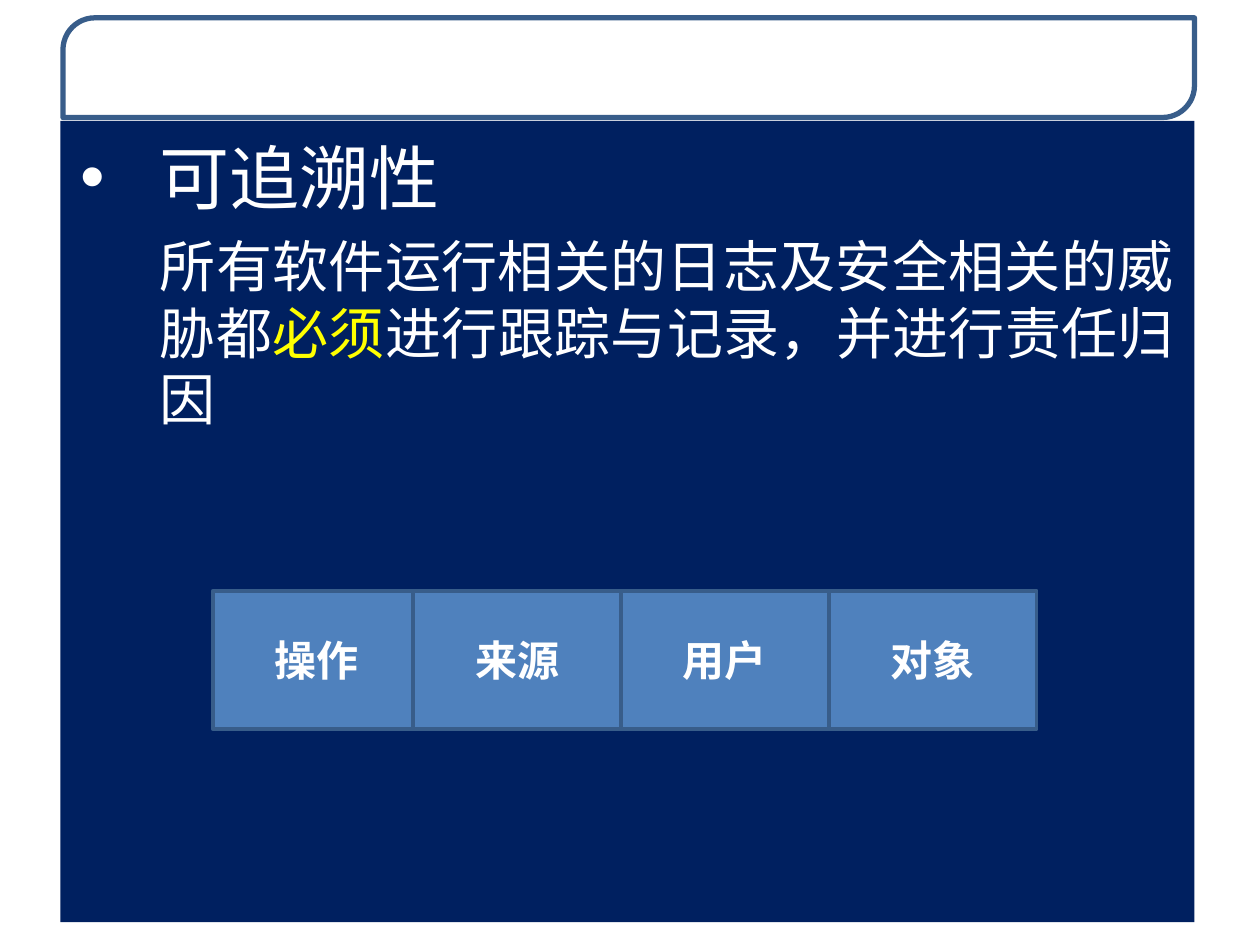
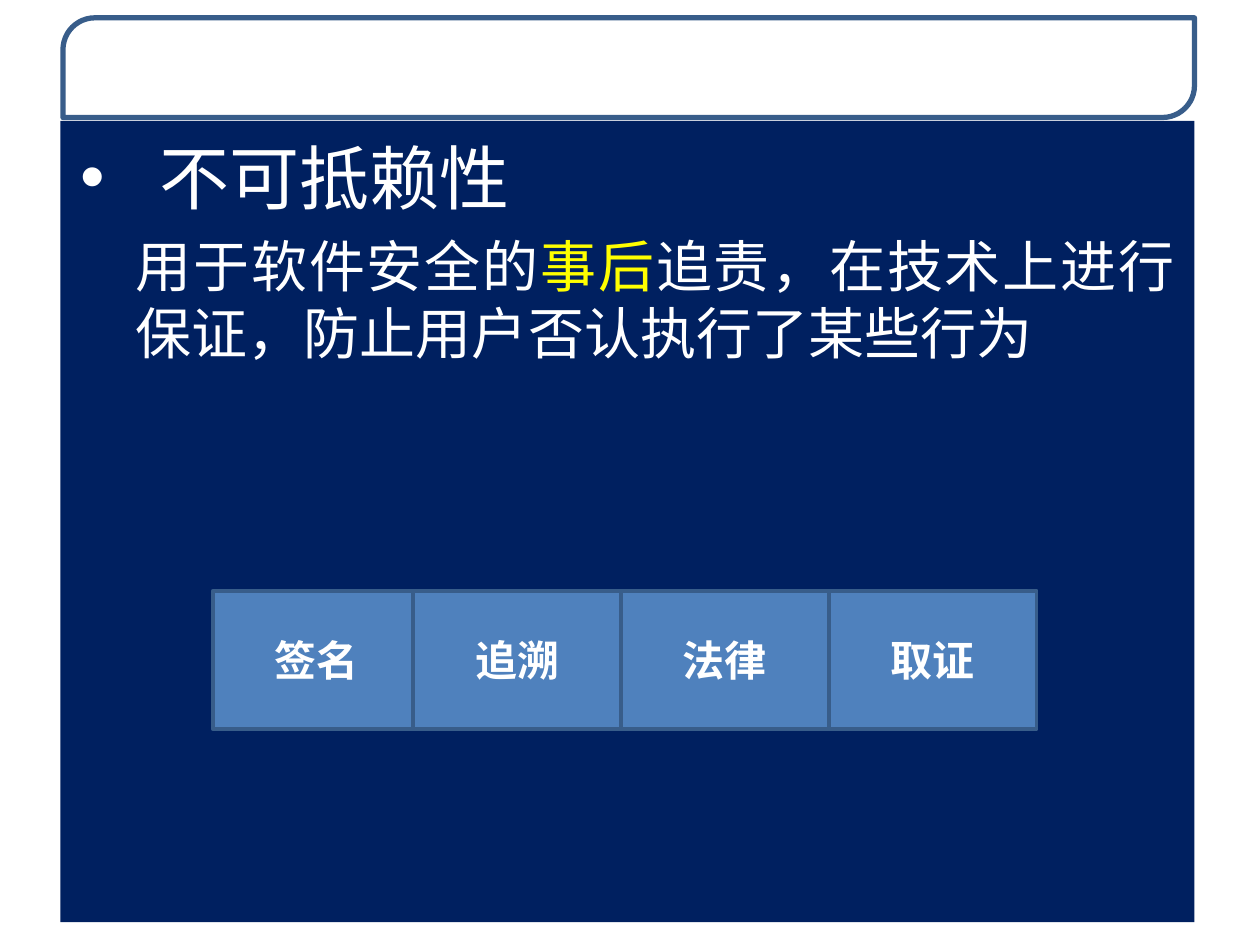
"""Build two slides on traceability and non-repudiation in software security."""
import lxml.etree
import pptx
import pptx.dml.color
import pptx.enum.shapes
import pptx.enum.text
import pptx.oxml.ns
import pptx.util

Cm = pptx.util.Cm
Pt = pptx.util.Pt
RGB = pptx.dml.color.RGBColor.from_string
qn = pptx.oxml.ns.qn
ALIGN = pptx.enum.text.PP_ALIGN
ANCHOR = pptx.enum.text.MSO_ANCHOR
SHAPE = pptx.enum.shapes.MSO_SHAPE

THEME = {
    "white": RGB("FFFFFF"),
    "navy": RGB("002060"),
    "blue": RGB("4F81BD"),
    "edge": RGB("385D8A"),
    "accent": RGB("FFFF00"),
    "cjk": "Noto Sans CJK SC",
    "latin": "Calibri",
    "heading": Pt(40),
    "text": Pt(32),
    "label": Pt(24),
}
HEADING_FORMAT = {"alignment": ALIGN.JUSTIFY, "line_spacing": Pt(52)}
TEXT_FORMAT = {"alignment": ALIGN.JUSTIFY, "line_spacing": Pt(38), "space_before": Pt(8)}
PANEL_FRAME = {
    "word_wrap": True, "vertical_anchor": ANCHOR.TOP,
    "margin_left": Cm(0.4), "margin_right": Cm(0.4),
    "margin_top": Cm(0.13), "margin_bottom": Cm(0.13),
}
HANGING = Cm(1.6)
ASPECT_WIDTH = 4.19
ASPECT_LEFTS = [4.29] + [8.33 + ASPECT_WIDTH * step for step in range(3)]

TOPICS = [
    {
        "heading": "可追溯性",
        "indent": HANGING,
        "text": [("所有软件运行相关的日志及安全相关的威胁都", "white"), ("必须", "accent"),
                 ("进行跟踪与记录，并进行责任归因", "white")],
        "aspects": ["操作", "来源", "用户", "对象"],
    },
    {
        "heading": "不可抵赖性",
        "indent": Cm(1.12),
        "text": [("用于软件安全的", "white"), ("事后", "accent"),
                 ("追责，在技术上进行保证，防止用户否认执行了某些行为", "white")],
        "aspects": ["签名", "追溯", "法律", "取证"],
    },
]


def add_box(slide, preset, place, fill, line_width=None):
    box = slide.shapes.add_shape(preset, *(Cm(length) for length in place))
    box.shadow.inherit = False
    box.fill.solid()
    box.fill.fore_color.rgb = THEME[fill]
    if line_width:
        box.line.color.rgb = THEME["edge"]
        box.line.width = Pt(line_width)
    else:
        box.line.fill.background()
    return box


def add_words(paragraph, words, size, colour="white", latin="cjk", bold=False):
    run = paragraph.add_run()
    run.text = words
    for name, value in {"size": THEME[size], "name": THEME[latin], "bold": bold}.items():
        setattr(run.font, name, value)
    run.font.color.rgb = THEME[colour]
    latin_tag = run.font._element.find(qn("a:latin"))
    east_asian = lxml.etree.Element(qn("a:ea"), typeface=THEME["cjk"])
    latin_tag.addnext(east_asian)


deck = pptx.Presentation()
deck.slide_width, deck.slide_height = Cm(25.4), Cm(19.05)

for topic in TOPICS:
    slide = deck.slides.add_slide(deck.slide_layouts[6])

    band = add_box(slide, SHAPE.ROUND_2_DIAG_RECTANGLE, (1.27, 0.36, 22.81, 2.01), "white", 3)
    band.adjustments[0] = 0.32
    band_colour = band.element.spPr.find(qn("a:solidFill"))[0]
    lxml.etree.SubElement(band_colour, qn("a:alpha"), val="85000")

    panel = add_box(slide, SHAPE.RECTANGLE, (1.22, 2.44, 22.86, 16.15), "navy")
    for name, value in PANEL_FRAME.items():
        setattr(panel.text_frame, name, value)

    heading = panel.text_frame.paragraphs[0]
    for name, value in HEADING_FORMAT.items():
        setattr(heading, name, value)
    heading_properties = heading._p.get_or_add_pPr()
    heading_properties.set("marL", str(HANGING))
    heading_properties.set("indent", str(-HANGING))
    bullet_colour = lxml.etree.SubElement(heading_properties, qn("a:buClr"))
    lxml.etree.SubElement(bullet_colour, qn("a:srgbClr"), val=str(THEME["white"]))
    lxml.etree.SubElement(heading_properties, qn("a:buFont"), typeface="Arial")
    lxml.etree.SubElement(heading_properties, qn("a:buChar"), char="•")
    add_words(heading, topic["heading"], "heading")

    explanation = panel.text_frame.add_paragraph()
    for name, value in TEXT_FORMAT.items():
        setattr(explanation, name, value)
    explanation._p.get_or_add_pPr().set("marL", str(topic["indent"]))
    for words, colour in topic["text"]:
        add_words(explanation, words, "text", colour)

    for left, aspect in zip(ASPECT_LEFTS, topic["aspects"]):
        tile = add_box(slide, SHAPE.RECTANGLE, (left, 11.91, ASPECT_WIDTH, 2.79), "blue", 2)
        tile.text_frame.vertical_anchor = ANCHOR.MIDDLE
        label = tile.text_frame.paragraphs[0]
        label.alignment = ALIGN.CENTER
        add_words(label, aspect, "label", latin="latin", bold=True)

deck.save("out.pptx")
